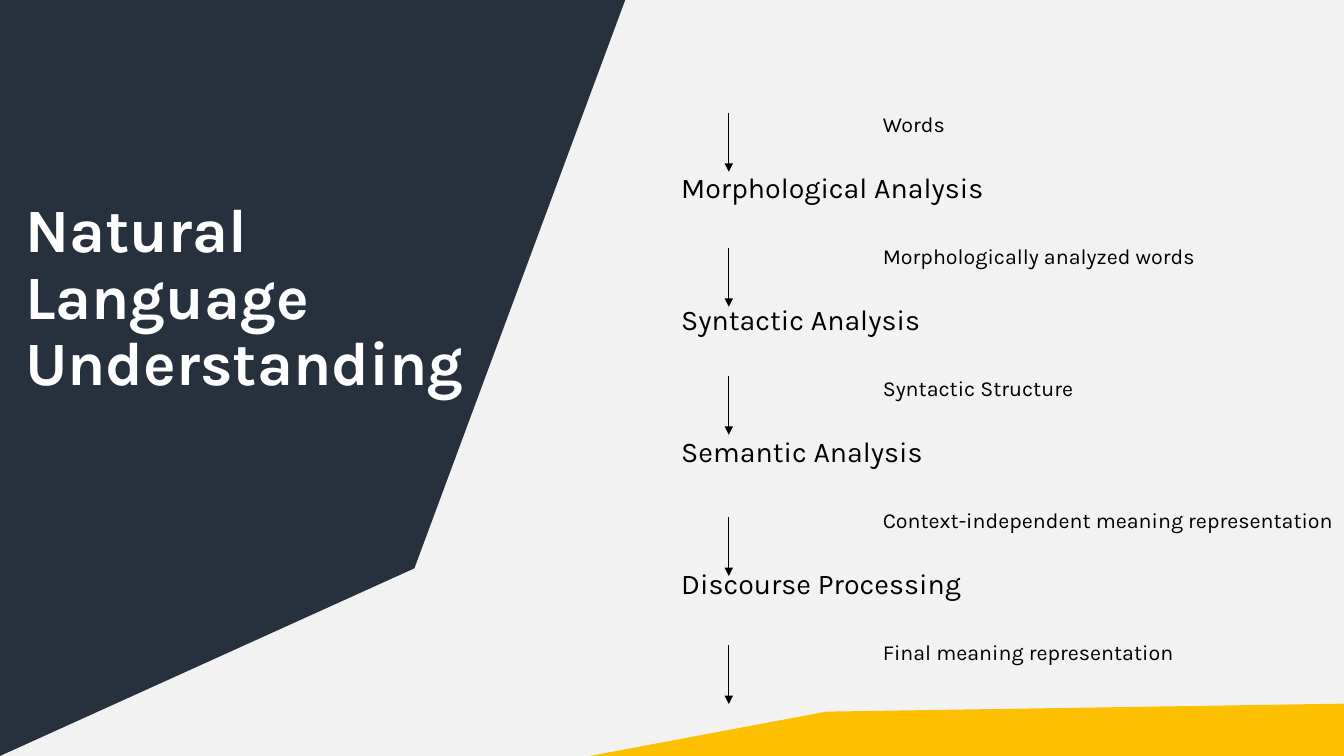
from dataclasses import dataclass

from lxml.etree import SubElement
from pptx import Presentation
from pptx.dml.color import RGBColor
from pptx.enum.shapes import MSO_CONNECTOR as Connector
from pptx.enum.text import MSO_ANCHOR as Anchor
from pptx.oxml.ns import qn
from pptx.slide import Slide
from pptx.text.text import Font
from pptx.util import Pt

PAPER = RGBColor(0xF2, 0xF2, 0xF2)
NAVY = RGBColor(0x27, 0x30, 0x3D)
GOLD = RGBColor(0xFC, 0xC0, 0x00)
BLACK = RGBColor(0, 0, 0)
WHITE = RGBColor(255, 255, 255)

TYPEFACE = "Karla"
WIDTH, HEIGHT = 960, 540
ARROW_X, ARROW_LENGTH = 520.6, 42
LINE_HEIGHT = 37.14


@dataclass(frozen=True)
class Level:
    size: float
    indent: float
    space_before: float


@dataclass(frozen=True)
class Step:
    text: str
    level: Level


@dataclass(frozen=True)
class Panel:
    color: RGBColor
    corners: tuple[tuple[float, float], ...]


DATA = Level(15.3, 162, 8.7)
STAGE = Level(20.4, 18, 11.3)

STEPS = (
    Step("Words", DATA),
    Step("Morphological Analysis", STAGE),
    Step("Morphologically analyzed words", DATA),
    Step("Syntactic Analysis", STAGE),
    Step("Syntactic Structure", DATA),
    Step("Semantic Analysis", STAGE),
    Step("Context-independent meaning representation", DATA),
    Step("Discourse Processing", STAGE),
    Step("Final meaning representation", DATA),
)
ARROW_TOPS = (80.6, 177.1, 268.6, 369.4, 460.8)

TITLE_PANEL = Panel(NAVY, ((0, 0), (446.6, 0), (296, 406), (0, HEIGHT)))
FOOT_PANEL = Panel(
    GOLD, ((421, HEIGHT), (590.4, 508.3), (WIDTH, 502.6), (WIDTH, HEIGHT))
)


def style_font(font: Font, size: float, color: RGBColor, bold: bool = False) -> None:
    font.name = TYPEFACE
    font.size = Pt(size)
    font.color.rgb = color
    font.bold = bold


def add_steps(slide: Slide) -> None:
    steps_frame = slide.shapes.add_textbox(
        Pt(461.5), Pt(60.3), Pt(498.5), Pt(430)
    ).text_frame
    steps_frame.word_wrap = True
    steps_frame.margin_top = steps_frame.margin_bottom = steps_frame.margin_right = 0
    steps_frame.text = "\n".join(step.text for step in STEPS)
    for index, (paragraph, step) in enumerate(zip(steps_frame.paragraphs, STEPS)):
        paragraph.line_spacing = Pt(LINE_HEIGHT)
        paragraph.space_before = Pt(step.level.space_before if index else 0)
        properties = paragraph._p.get_or_add_pPr()
        properties.set("marL", str(Pt(step.level.indent)))
        properties.set("indent", "0")
        style_font(paragraph.runs[0].font, step.level.size, BLACK)


def add_arrow(slide: Slide, top: float) -> None:
    arrow = slide.shapes.add_connector(
        Connector.STRAIGHT, Pt(ARROW_X), Pt(top), Pt(ARROW_X), Pt(top + ARROW_LENGTH)
    )
    arrow.line.color.rgb = BLACK
    arrow.line.width = Pt(0.75)
    SubElement(arrow.line._get_or_add_ln(), qn("a:tailEnd"), type="triangle")
    SubElement(arrow._element.spPr, qn("a:effectLst"))


def add_panel(slide: Slide, panel: Panel) -> None:
    start, *others = [(Pt(x), Pt(y)) for x, y in panel.corners]
    outline = slide.shapes.build_freeform(*start)
    outline.add_line_segments(others, close=True)
    area = outline.convert_to_shape()
    area.shadow.inherit = False
    area.fill.solid()
    area.fill.fore_color.rgb = panel.color
    area.line.fill.background()


def add_title(slide: Slide) -> None:
    title_frame = slide.shapes.add_textbox(
        Pt(10.8), Pt(101.5), Pt(352.8), Pt(224.6)
    ).text_frame
    title_frame.word_wrap = True
    title_frame.vertical_anchor = Anchor.MIDDLE
    title_frame.text = "Natural Language Understanding"
    heading = title_frame.paragraphs[0]
    heading.line_spacing = 0.9
    style_font(heading.runs[0].font, 44, WHITE, bold=True)


def main() -> None:
    deck = Presentation()
    deck.slide_width, deck.slide_height = Pt(WIDTH), Pt(HEIGHT)
    slide = deck.slides.add_slide(deck.slide_layouts[6])
    slide.background.fill.solid()
    slide.background.fill.fore_color.rgb = PAPER
    add_steps(slide)
    for top in ARROW_TOPS:
        add_arrow(slide, top)
    add_panel(slide, TITLE_PANEL)
    add_title(slide)
    add_panel(slide, FOOT_PANEL)
    deck.save("out.pptx")


if __name__ == "__main__":
    main()
